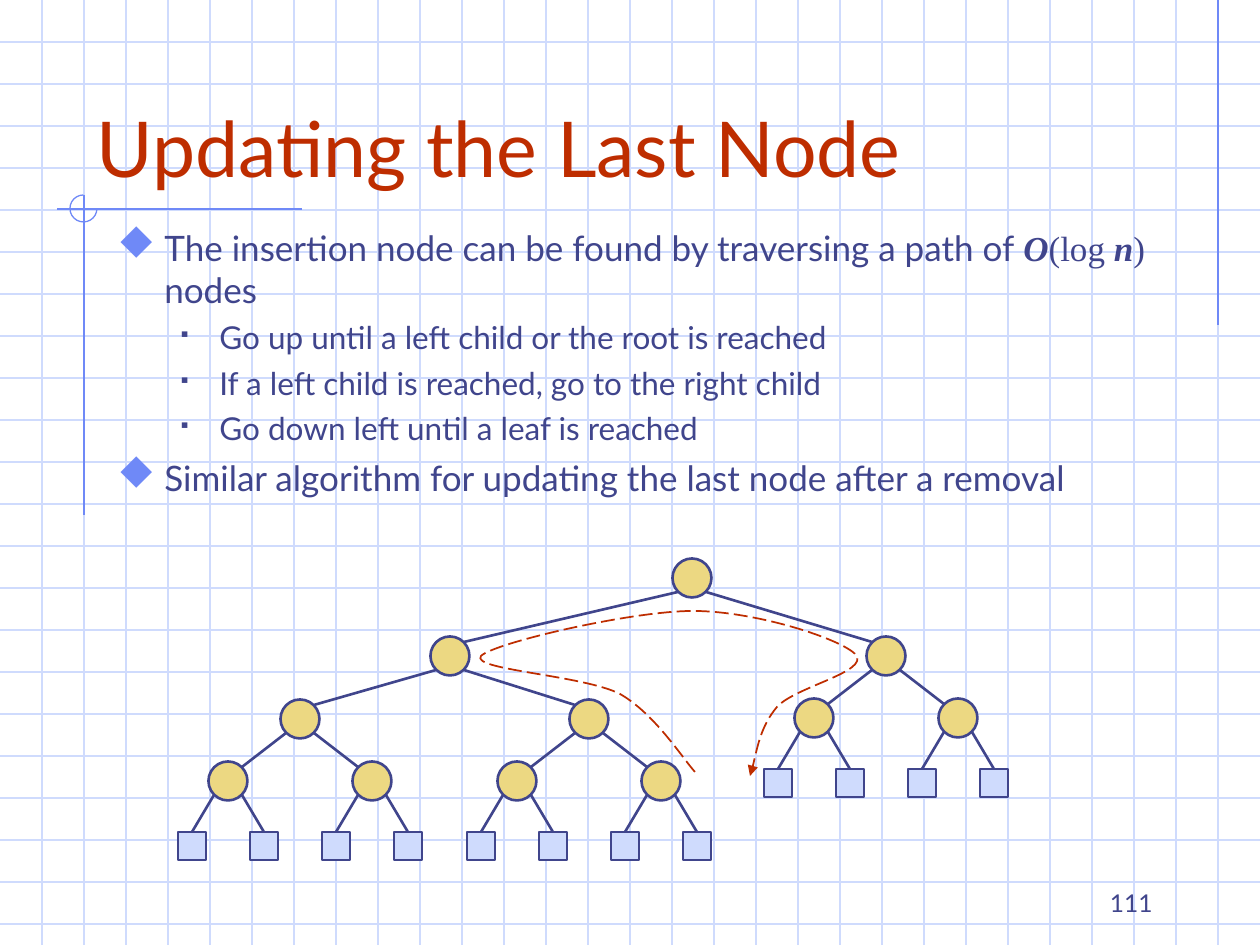
from dataclasses import dataclass

import pptx
import pptx.dml.color
import pptx.enum.dml
import pptx.enum.shapes
import pptx.enum.text
import pptx.oxml
import pptx.oxml.ns
import pptx.util

RGBColor = pptx.dml.color.RGBColor
Shape = pptx.enum.shapes.MSO_SHAPE

EMU_PER_PX = 914400 / 126
SLIDE_WIDTH, SLIDE_HEIGHT = 1260, 945
GRID_STEP = 42
NODE_SIZE, LEAF_SIZE = 39, 28
EDGE_INSET = 14

PALE_BLUE = RGBColor(0xCF, 0xDB, 0xFD)
BRIGHT_BLUE = RGBColor(0x6F, 0x89, 0xF7)
INDIGO = RGBColor(0x40, 0x45, 0x8C)
YELLOW = RGBColor(0xEC, 0xD8, 0x82)
RED = RGBColor(0xBE, 0x2D, 0x00)

BODY_FONT = "Lato"
MATH_FONT = "Times New Roman"
BULLET_FONT = "Wingdings"


@dataclass(frozen=True)
class TextRun:
    text: str
    font: str = BODY_FONT
    emphasis: bool = False


@dataclass(frozen=True)
class BulletStyle:
    character: str
    color: RGBColor
    percent: int
    margin: int
    indent: int
    font_size: int
    space_before: float


@dataclass(frozen=True)
class TreeNode:
    x: int
    y: int
    children: tuple["TreeNode", ...] = ()


# In the bullet font, "u" is a diamond and "§" a small square.
MAIN = BulletStyle("u", BRIGHT_BLUE, 110, 47, 47, 20, 5)
SUB = BulletStyle("§", INDIGO, 60, 102, 39, 18, 4.5)

BULLETS = [
    (MAIN, [
        TextRun("The insertion node can be found by traversing a path of "),
        TextRun("O", MATH_FONT, True),
        TextRun("(log ", MATH_FONT),
        TextRun("n", MATH_FONT, True),
        TextRun(") ", MATH_FONT),
        TextRun("nodes"),
    ]),
    (SUB, [TextRun("Go up until a left child or the root is reached")]),
    (SUB, [TextRun("If a left child is reached, go to the right child")]),
    (SUB, [TextRun("Go down left until a leaf is reached")]),
    (MAIN, [TextRun("Similar algorithm for updating the last node after a removal")]),
]

# Start point, then two control points and an end point per curve.
TRAVERSAL_PATH = [
    (695, 772),
    (683, 759), (655, 714), (620, 694),
    (583, 675), (470, 670), (481, 656),
    (494, 643), (631, 611), (693, 611),
    (755, 611), (842, 639), (856, 655),
    (869, 672), (795, 687), (777, 707),
    (760, 727), (755, 761), (750, 776),
]


def px(length: float) -> pptx.util.Emu:
    return pptx.util.Emu(round(length * EMU_PER_PX))


def perfect_tree(x: int, y: int, height: int) -> TreeNode:
    """Lay out a full subtree whose lowest level holds the square leaves."""
    if height == 0:
        return TreeNode(x, y)
    spread, drop = (36, 65) if height == 1 else (72, 62)
    return TreeNode(x, y, tuple(
        perfect_tree(x + side * spread, y + drop, height - 1) for side in (-1, 1)))


def add_line(slide, start: tuple[int, int], end: tuple[int, int],
             color: RGBColor, width: float = 0.75):
    connector = slide.shapes.add_connector(
        pptx.enum.shapes.MSO_CONNECTOR.STRAIGHT, *map(px, start + end))
    connector.line.color.rgb = color
    connector.line.width = pptx.util.Pt(width)
    connector.element.spPr.append(pptx.oxml.parse_xml(
        f"<a:effectLst {pptx.oxml.ns.nsdecls('a')}/>"))
    return connector


def add_background(slide) -> None:
    for y in range(GRID_STEP, SLIDE_HEIGHT, GRID_STEP):
        add_line(slide, (0, y), (SLIDE_WIDTH, y), PALE_BLUE)
    for x in range(GRID_STEP, SLIDE_WIDTH, GRID_STEP):
        add_line(slide, (x, 0), (x, SLIDE_HEIGHT), PALE_BLUE)
    add_line(slide, (1218, 0), (1218, 325), BRIGHT_BLUE)
    add_line(slide, (302, 209), (57, 209), BRIGHT_BLUE)
    add_line(slide, (84, 195), (84, 515), BRIGHT_BLUE)
    arc = slide.shapes.add_shape(Shape.ARC, px(70), px(195), px(27), px(27))
    arc.adjustments[0], arc.adjustments[1] = 0, 162
    arc.shadow.inherit = False
    arc.fill.background()
    arc.line.color.rgb = BRIGHT_BLUE
    arc.line.width = pptx.util.Pt(0.75)


def add_run(paragraph, content: TextRun, size: int, color: RGBColor) -> None:
    run = paragraph.add_run()
    run.text = content.text
    run.font.name = content.font
    run.font.size = pptx.util.Pt(size)
    run.font.color.rgb = color
    run.font.bold = run.font.italic = content.emphasis


def set_bullet(paragraph, style: BulletStyle) -> None:
    properties = paragraph._p.get_or_add_pPr()
    properties.set("marL", str(px(style.margin)))
    properties.set("indent", str(px(-style.indent)))
    namespace = pptx.oxml.ns.nsdecls("a")
    for xml in (
        f'<a:buClr {namespace}><a:srgbClr val="{style.color}"/></a:buClr>',
        f'<a:buSzPct {namespace} val="{style.percent * 1000}"/>',
        f'<a:buFont {namespace} typeface="{BULLET_FONT}" pitchFamily="2" charset="2"/>',
        f'<a:buChar {namespace} char="{style.character}"/>',
    ):
        properties.append(pptx.oxml.parse_xml(xml))


def format_title(title) -> None:
    title.left, title.top, title.width, title.height = map(px, (84, 42, 1071, 157))
    title.element.getparent().append(title.element)  # in front of the grid
    frame = title.text_frame
    frame.auto_size = pptx.enum.text.MSO_AUTO_SIZE.NONE
    frame.vertical_anchor = pptx.enum.text.MSO_ANCHOR.BOTTOM
    frame.paragraphs[0].alignment = pptx.enum.text.PP_ALIGN.LEFT
    add_run(frame.paragraphs[0], TextRun("Updating the Last Node"), 44, RED)


def add_bullets(slide) -> None:
    frame = slide.shapes.add_textbox(*map(px, (105, 220, 1081, 315))).text_frame
    frame.word_wrap = True
    for index, (style, runs) in enumerate(BULLETS):
        paragraph = frame.add_paragraph() if index else frame.paragraphs[0]
        set_bullet(paragraph, style)
        if index:
            paragraph.space_before = pptx.util.Pt(style.space_before)
        for run in runs:
            add_run(paragraph, run, style.font_size, INDIGO)


def add_tree(slide, node: TreeNode):
    """Draw a node, its subtrees and the edges to them; return the node's shape."""
    kind, size, color = ((Shape.OVAL, NODE_SIZE, YELLOW) if node.children
                         else (Shape.RECTANGLE, LEAF_SIZE, PALE_BLUE))
    shape = slide.shapes.add_shape(
        kind, px(node.x - size / 2), px(node.y - size / 2), px(size), px(size))
    shape.shadow.inherit = False
    shape.fill.solid()
    shape.fill.fore_color.rgb = color
    shape.line.color.rgb = INDIGO
    shape.line.width = pptx.util.Pt(1.5)
    for child in node.children:
        child_shape = add_tree(slide, child)
        inset = EDGE_INSET if child.x > node.x else -EDGE_INSET
        edge = add_line(slide, (node.x + inset, node.y + EDGE_INSET),
                        (child.x - inset, child.y - EDGE_INSET), INDIGO, 1.5)
        if not child.children:
            edge.end_connect(child_shape, 0)
    return shape


def add_traversal(slide) -> None:
    builder = slide.shapes.build_freeform(*TRAVERSAL_PATH[0], scale=EMU_PER_PX)
    builder.add_line_segments(TRAVERSAL_PATH[1:], close=False)
    curve = builder.convert_to_shape()
    segments = list(curve.element.iter(pptx.oxml.ns.qn("a:lnTo")))
    namespace = pptx.oxml.ns.nsdecls("a")
    for first in range(0, len(segments), 3):
        bezier = pptx.oxml.parse_xml(f"<a:cubicBezTo {namespace}/>")
        segments[first].addprevious(bezier)
        for segment in segments[first:first + 3]:
            bezier.append(segment[0])
            segment.getparent().remove(segment)
    curve.shadow.inherit = False
    curve.fill.background()
    curve.line.color.rgb = RED
    curve.line.width = pptx.util.Pt(1)
    curve.line.dash_style = pptx.enum.dml.MSO_LINE.LONG_DASH
    curve.element.spPr.find(pptx.oxml.ns.qn("a:ln")).append(
        pptx.oxml.parse_xml(f'<a:tailEnd {namespace} type="triangle"/>'))


def add_slide_number(slide) -> None:
    frame = slide.shapes.add_textbox(*map(px, (903, 861, 262, 63))).text_frame
    frame.word_wrap = True
    frame.vertical_anchor = pptx.enum.text.MSO_ANCHOR.BOTTOM
    frame.paragraphs[0].alignment = pptx.enum.text.PP_ALIGN.RIGHT
    add_run(frame.paragraphs[0], TextRun("111"), 14, INDIGO)


def main() -> None:
    presentation = pptx.Presentation()
    presentation.slide_width, presentation.slide_height = px(SLIDE_WIDTH), px(SLIDE_HEIGHT)
    slide = presentation.slides.add_slide(presentation.slide_layouts[5])
    add_background(slide)
    format_title(slide.shapes.title)
    add_bullets(slide)
    left = TreeNode(450, 656, (perfect_tree(300, 719, 2), perfect_tree(589, 719, 2)))
    add_tree(slide, TreeNode(692, 578, (left, perfect_tree(886, 656, 2))))
    add_traversal(slide)
    add_slide_number(slide)
    presentation.save("out.pptx")


if __name__ == "__main__":
    main()
